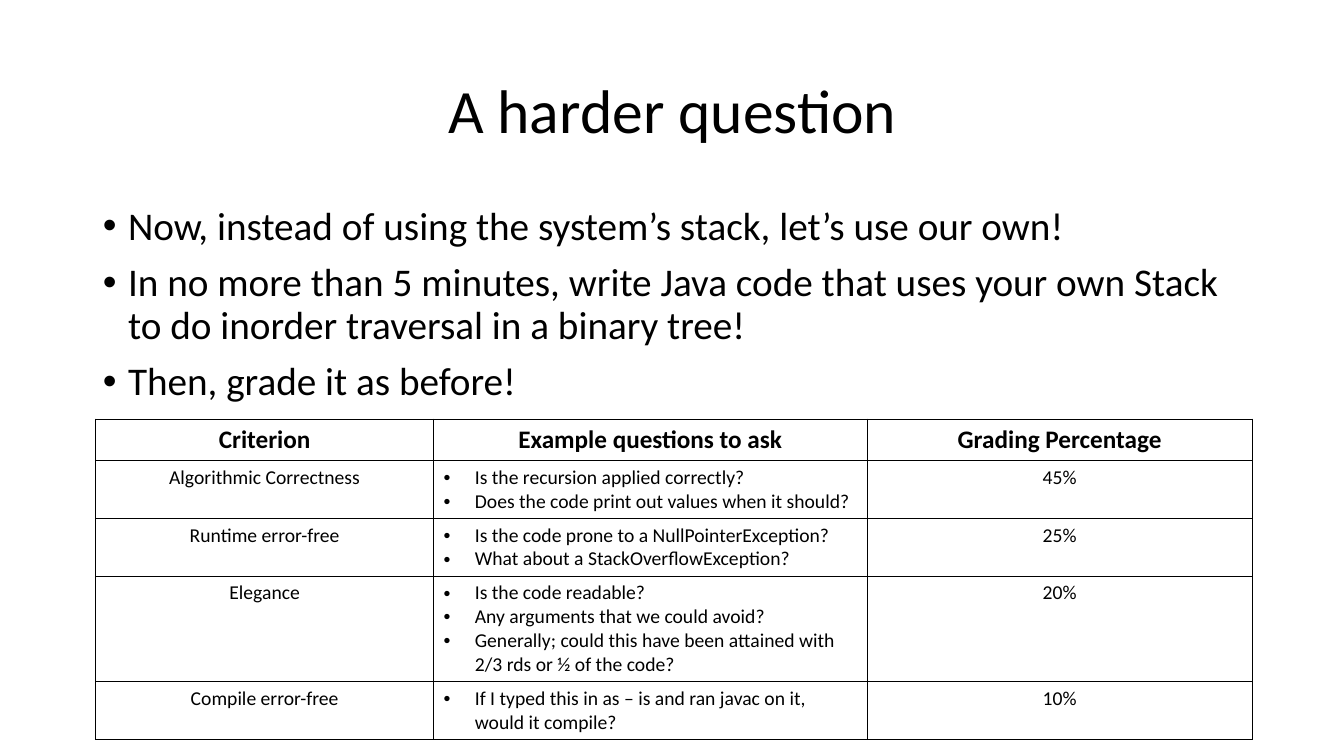
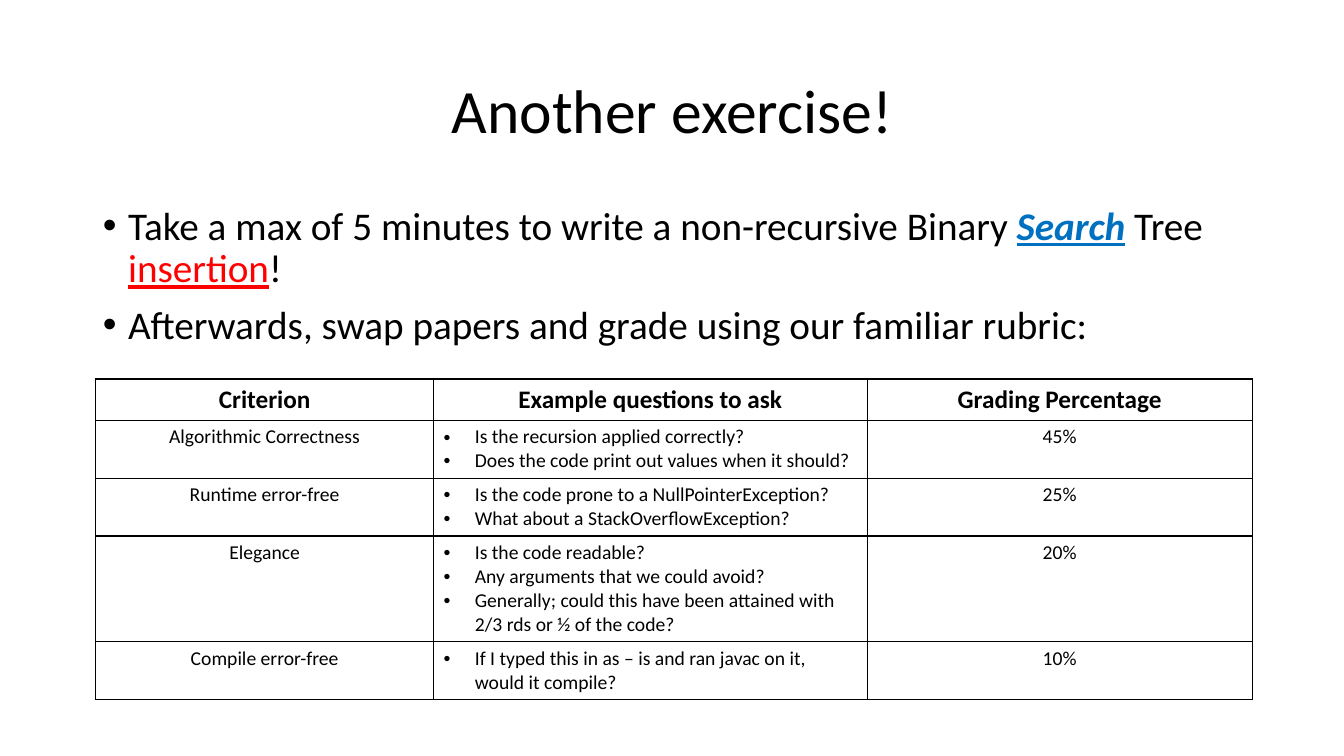
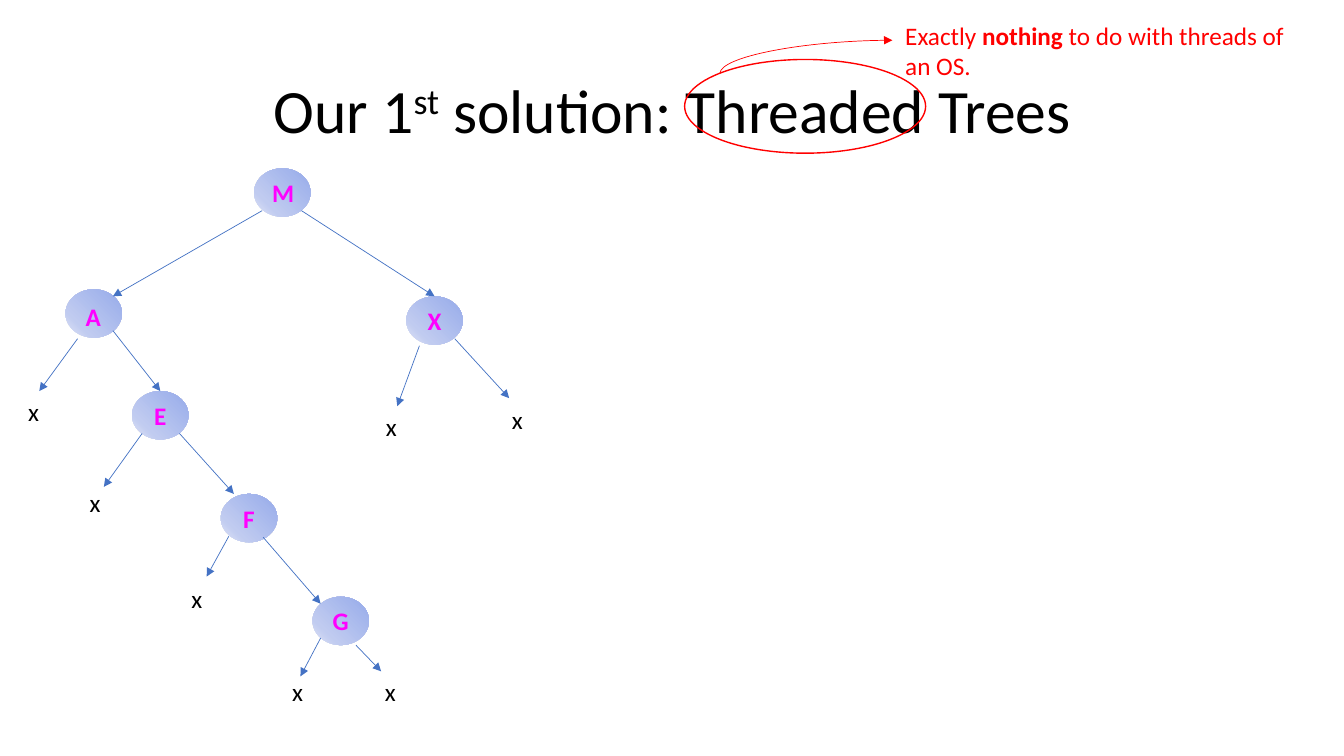
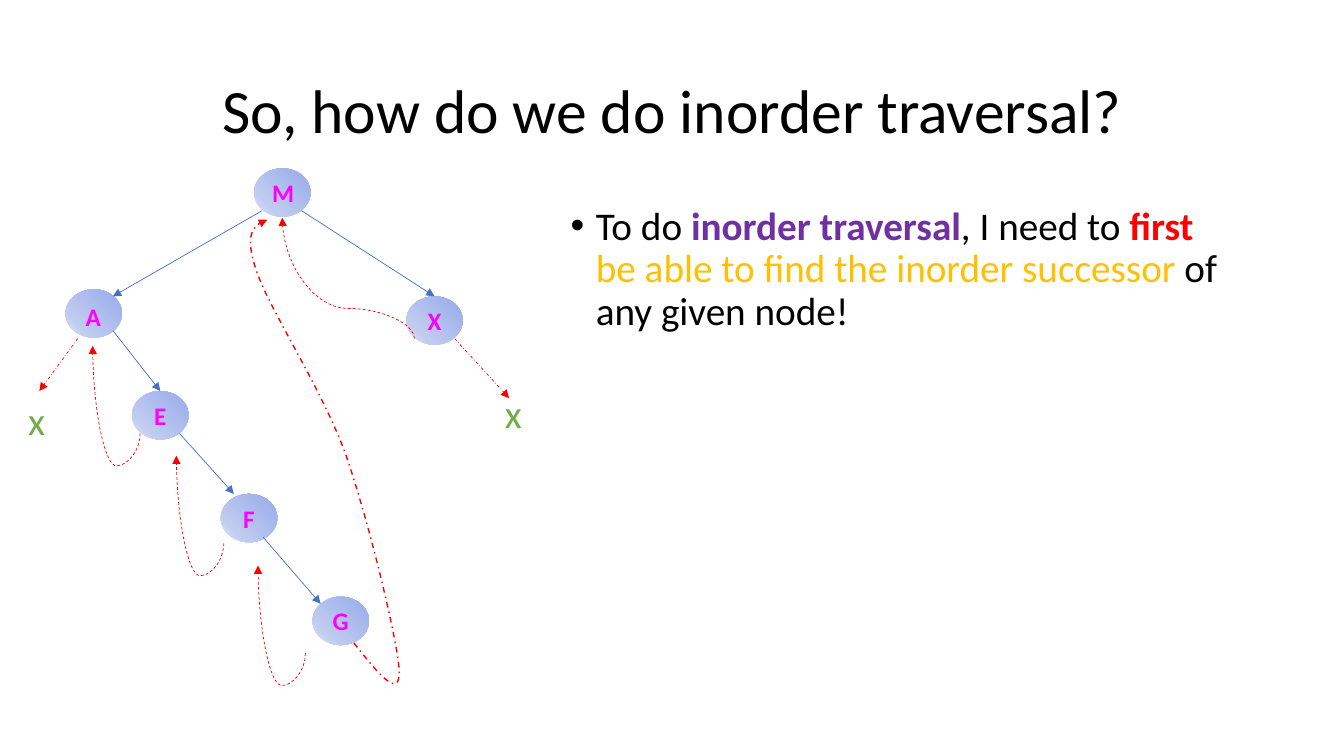
from dataclasses import dataclass

from pptx import Presentation
from pptx.dml.color import RGBColor
from pptx.enum.dml import MSO_LINE as Dash
from pptx.enum.shapes import MSO_CONNECTOR as Link, MSO_SHAPE as Form
from pptx.enum.text import MSO_ANCHOR as Anchor, MSO_AUTO_SIZE as Fit, PP_ALIGN as Align
from pptx.oxml import parse_xml
from pptx.oxml.ns import nsdecls
from pptx.util import Inches, Pt


@dataclass(frozen=True)
class Theme:
    font: str = "Calibri"
    ink: str = "000000"
    red: str = "FF0000"
    blue: str = "0070C0"
    violet: str = "7030A0"
    gold: str = "FFC000"
    green: str = "70AD47"
    pink: str = "FF00FF"
    edge: str = "4472C4"
    ball: tuple = ((0, "96ABEA"), (74, "C0CBF0"), (100, "E0E5F7"))
    title: int = 44
    body: int = 28
    label: int = 18
    cell: int = 14
    thin: float = 0.5
    bold: float = 1


T = Theme()
WIDE, TALL = 13.33, 7.5
LEFT, SPAN = 0.92, 11.5
NODE_W, NODE_H = 0.56, 0.48

RUBRIC = [
    ("Algorithmic Correctness",
     ["Is the recursion applied correctly?",
      "Does the code print out values when it should?"], "45%"),
    ("Runtime error-free",
     ["Is the code prone to a NullPointerException?",
      "What about a StackOverflowException?"], "25%"),
    ("Elegance",
     ["Is the code readable?",
      "Any arguments that we could avoid?",
      "Generally; could this have been attained with 2/3 rds or ½ of the code?"], "20%"),
    ("Compile error-free",
     ["If I typed this in as – is and ran javac on it, would it compile?"], "10%"),
]
HEADS = ["Criterion", "Example questions to ask", "Grading Percentage"]

NODES = {"M": (2.52, 1.67), "A": (0.65, 2.87), "X": (4.03, 2.94),
         "E": (1.31, 3.88), "F": (2.19, 4.9), "G": (3.1, 5.92)}
# start, end, and the node whose top the arrow joins
EDGES = [((2.6, 2.09), (1.12, 2.94), None),
         ((2.99, 2.09), (4.31, 2.94), "X"),
         ((1.12, 3.28), (1.59, 3.88), "E"),
         ((1.78, 4.3), (2.32, 4.9), None),
         ((2.61, 5.33), (3.18, 5.99), None)]
# arrows to the two outermost empty children
OUTER = [((4.51, 3.36), (5.05, 3.95)), ((0.77, 3.36), (0.39, 3.88))]
INNER = [((4.16, 3.43), (3.94, 4.03)), ((1.41, 4.3), (1.03, 4.83)),
         ((2.27, 5.32), (2.05, 5.72)), ((3.53, 6.4), (3.78, 6.66)),
         ((3.18, 6.33), (2.98, 6.71))]
EMPTY = [(3.73, 4.03), (4.98, 3.96), (0.18, 3.88), (0.79, 4.79),
         (1.8, 5.74), (2.8, 6.66), (3.72, 6.66)]
# long thread from G back to M, as Bezier pieces
START = (3.51, 6.38)
BENDS = [((3.74, 6.67), (3.97, 6.96), (3.96, 6.65)),
         ((3.94, 6.34), (3.66, 5.18), (3.43, 4.51)),
         ((3.19, 3.85), (2.67, 3.07), (2.54, 2.68)),
         ((2.41, 2.29), (2.53, 2.23), (2.65, 2.18))]


def put(host, tag, inner="", **attrs):
    """Append a drawing element, with optional child markup, to host."""
    pairs = " ".join(f'{k}="{v}"' for k, v in attrs.items())
    host.append(parse_xml(f'<a:{tag} {nsdecls("a")} {pairs}>{inner}</a:{tag}>'))


def solid(color):
    return f'<a:solidFill><a:srgbClr val="{color}"/></a:solidFill>'


def bezier(a, b, c, d, steps=12):
    """Points along a cubic curve, without its start."""
    for n in range(1, steps + 1):
        t = n / steps
        u = 1 - t
        yield tuple(Inches(u**3 * p + 3 * u * u * t * q + 3 * u * t * t * r + t**3 * s)
                    for p, q, r, s in zip(a, b, c, d))


class Deck:
    def __init__(self):
        self.prs = Presentation()
        self.prs.slide_width, self.prs.slide_height = Inches(WIDE), Inches(TALL)

    def page(self, title, layout=1):
        self.slide = self.prs.slides.add_slide(self.prs.slide_layouts[layout])
        box = self.slide.shapes.title
        self.place(box, LEFT, 0.4, SPAN, 1.45)
        box.text_frame.vertical_anchor = Anchor.MIDDLE
        para = box.text_frame.paragraphs[0]
        para.line_spacing = 0.9
        self.fill(para, title, T.title, align=Align.CENTER)

    def place(self, box, x, y, w, h):
        box.left, box.top, box.width, box.height = map(Inches, (x, y, w, h))
        box.text_frame.auto_size = Fit.NONE
        box.text_frame.word_wrap = True

    def fill(self, para, runs, size, color=T.ink, bold=False, align=None):
        """Add runs: a string, or a list of strings and (string, style) pairs."""
        if align is not None:
            para.alignment = align
        for item in [runs] if isinstance(runs, str) else runs:
            text, look = (item, {}) if isinstance(item, str) else item
            run = para.add_run()
            run.text = text
            font = run.font
            font.name, font.size = T.font, Pt(size)
            font.bold = look.get("bold", bold)
            font.italic = look.get("italic", False)
            font.underline = look.get("under", False)
            font.color.rgb = RGBColor.from_string(look.get("color", color))
            if "base" in look:
                run._r.get_or_add_rPr().set("baseline", str(look["base"] * 1000))

    def bullets(self, frame, items, size, indent, gap=0, lead=1.0):
        for n, runs in enumerate(items):
            para = frame.add_paragraph() if n else frame.paragraphs[0]
            props = para._p.get_or_add_pPr()
            props.set("marL", str(Inches(indent)))
            props.set("indent", str(-Inches(indent)))
            put(props, "buFont", typeface="Arial")
            put(props, "buChar", char="•")
            para.line_spacing = lead
            para.space_before = Pt(gap if n else 0)
            self.fill(para, runs, size)

    def body(self, items, x=LEFT):
        box = self.slide.placeholders[1]
        self.place(box, x, 2, LEFT + SPAN - x, 4.76)
        self.bullets(box.text_frame, items, T.body, 0.25, gap=10, lead=0.9)

    def rubric(self, top):
        cols = [3.35, 4.3, 3.82]
        rows = [HEADS, *RUBRIC]
        grid = self.slide.shapes.add_table(
            len(rows), len(cols), Inches(0.95), Inches(top),
            Inches(sum(cols)), Inches(0.41 * len(rows))).table
        grid.first_row = grid.horz_banding = False
        for col, wide in zip(grid.columns, cols):
            col.width = Inches(wide)
        for r, row in enumerate(rows):
            for c, text in enumerate(row):
                cell = grid.cell(r, c)
                self.border(cell)
                if isinstance(text, list):
                    self.bullets(cell.text_frame, text, T.cell, 0.31)
                else:
                    self.fill(cell.text_frame.paragraphs[0], text,
                              T.cell if r else T.label, bold=not r, align=Align.CENTER)

    def border(self, cell):
        props = cell._tc.get_or_add_tcPr()
        for side in "LRTB":
            put(props, f"ln{side}", solid(T.ink), w=Pt(T.bold))
        cell.fill.background()

    def label(self, x, y, w, h, runs, size=T.label, color=T.ink, wrap=True, **look):
        box = self.slide.shapes.add_textbox(*map(Inches, (x, y, w, h)))
        box.text_frame.word_wrap = wrap
        self.fill(box.text_frame.paragraphs[0], runs, size, color, **look)

    def oval(self, x, y, w, h):
        shape = self.slide.shapes.add_shape(Form.OVAL, *map(Inches, (x, y, w, h)))
        shape.shadow.inherit = False
        return shape

    def node(self, name):
        x, y = NODES[name]
        ball = self.oval(x, y, NODE_W, NODE_H)
        ball.line.fill.background()
        ball.fill.gradient()
        grad = ball._element.spPr.find("{*}gradFill")
        for part in list(grad):
            grad.remove(part)
        put(grad, "gsLst", "".join(
            f'<a:gs pos="{at * 1000}"><a:srgbClr val="{color}"/></a:gs>'
            for at, color in T.ball))
        put(grad, "path", '<a:fillToRect l="100000" b="100000"/>', path="circle")
        look = dict(color=T.pink, bold=True, align=Align.CENTER)
        if name == "A":
            self.label(0.75, 2.94, 0.35, 0.4, name, wrap=False, **look)
        else:
            ball.text_frame.vertical_anchor = Anchor.MIDDLE
            self.fill(ball.text_frame.paragraphs[0], name, T.label, **look)
        return ball

    def stroke(self, item, color, width=T.thin, dash=None):
        """Style a line and give it an arrowhead at its end."""
        item.line.color.rgb = RGBColor.from_string(color)
        item.line.width = Pt(width)
        if dash is not None:
            item.line.dash_style = dash
        put(item._element.spPr.find("{*}ln"), "tailEnd", type="triangle")

    def arrow(self, start, end, color=T.edge, dash=None, kind=Link.STRAIGHT):
        line = self.slide.shapes.add_connector(kind, *map(Inches, (*start, *end)))
        self.stroke(line, color, dash=dash)
        put(line._element.spPr, "effectLst")
        return line

    def curve(self, start, end, bend=None, dash=None):
        """Red curved arrow that leaves and climbs vertically."""
        (x1, y1), (x2, y2) = start, end
        w, h = y1 - y2, abs(x2 - x1)
        x, y = (x1 + x2 - w) / 2, (y1 + y2 - h) / 2
        line = self.arrow((x, y), (x + w, y + h), T.red, dash, Link.CURVE)
        props = line._element.spPr
        frame = props.find("{*}xfrm")
        frame.set("rot", "5400000")
        frame.set("flipH", "1")
        if x2 > x1:
            frame.set("flipV", "1")
        geom = props.find("{*}prstGeom")
        if bend is None:
            geom.set("prst", "curvedConnector2")
        else:
            for old in list(geom):
                geom.remove(old)
            put(geom, "avLst", f'<a:gd name="adj1" fmla="val {round(bend * 100000)}"/>')

    def thread(self):
        pen = self.slide.shapes.build_freeform(*map(Inches, START))
        at = START
        for one, two, end in BENDS:
            pen.add_line_segments(list(bezier(at, one, two, end)), close=False)
            at = end
        trail = pen.convert_to_shape()
        trail.shadow.inherit = False
        trail.fill.background()
        self.stroke(trail, T.red, T.bold, Dash.DASH_DOT)

    def tree(self):
        balls = {name: self.node(name) for name in NODES}
        for start, end, goal in EDGES:
            line = self.arrow(start, end)
            if goal:
                line.end_connect(balls[goal], 0)


def main():
    deck = Deck()

    deck.page("A harder question")
    deck.body(["Now, instead of using the system’s stack, let’s use our own!",
               "In no more than 5 minutes, write Java code that uses your own Stack "
               "to do inorder traversal in a binary tree!",
               "Then, grade it as before!"])
    deck.rubric(4.16)

    deck.page("Another exercise!")
    deck.body([["Take a max of 5 minutes to write a non-recursive Binary ",
                ("Search", dict(color=T.blue, bold=True, italic=True, under=True)),
                " Tree ", ("insertion", dict(color=T.red, under=True)), "!"],
               "Afterwards, swap papers and grade using our familiar rubric:"])
    deck.rubric(3.76)

    deck.page(["Our 1", ("st", dict(base=30)), " solution: Threaded Trees"], layout=5)
    deck.tree()
    for start, end in OUTER + INNER:
        deck.arrow(start, end)
    for x, y in EMPTY:
        deck.label(x, y, 0.43, 0.4, "x")
    ring = deck.oval(6.79, 0.59, 2.39, 0.93)
    ring.fill.background()
    ring.line.color.rgb = RGBColor.from_string(T.red)
    ring.line.width = Pt(T.bold)
    deck.curve((7.14, 0.73), (8.85, 0.4))
    deck.label(8.88, 0.15, 4.16, 0.71,
               ["Exactly ", ("nothing", dict(bold=True)), " to do with threads of an OS."],
               color=T.red)

    deck.page("So, how do we do inorder traversal?")
    deck.body([["To do ", ("inorder traversal", dict(color=T.violet, bold=True)),
                ", I need to ", ("first", dict(color=T.red, bold=True)),
                (" be able to find the inorder successor", dict(color=T.gold)),
                " of any given node!"]], x=5.56)
    deck.tree()
    for x, y in [(0.18, 3.88), (4.91, 3.81)]:
        deck.label(x, y, 0.43, 0.57, "x", T.body, T.green)
    for x, y in [(1.39, 4.3), (2.22, 5.39), (3.03, 6.48)]:
        deck.curve((x, y), (x - 0.47, y - 0.87), -0.37, Dash.DASH)
    deck.curve((4.11, 3.36), (2.8, 2.16), 0.25, Dash.DASH)
    deck.thread()
    for start, end in OUTER:
        deck.arrow(start, end, T.red, Dash.DASH_DOT)

    deck.prs.save("out.pptx")


if __name__ == "__main__":
    main()
